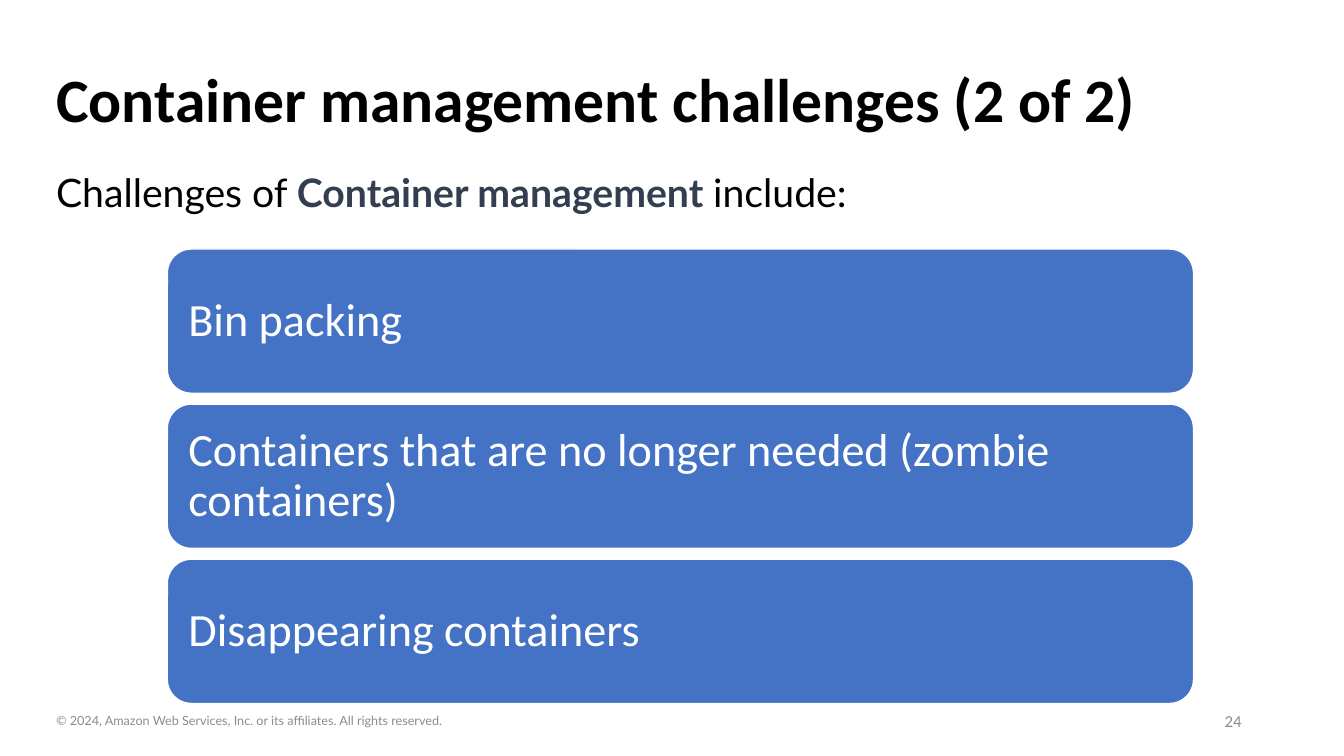
from dataclasses import dataclass

from pptx import Presentation
from pptx.dml.color import RGBColor
from pptx.enum.shapes import MSO_SHAPE
from pptx.enum.text import MSO_ANCHOR, PP_ALIGN
from pptx.slide import Slide
from pptx.text.text import TextFrame
from pptx.util import Pt

COLORS = {
    "black": "000000",
    "white": "FFFFFF",
    "blue": "4472C4",
    "slate": "333F50",
    "gray": "8C8C8C",
}

CHALLENGES = [
    "Bin packing",
    "Containers that are no longer needed (zombie containers)",
    "Disappearing containers",
]
CARD_LEFT, CARD_TOP = 119.5, 177.9
CARD_WIDTH, CARD_HEIGHT = 733, 103
CARD_PITCH = 110.8
CARD_INSET = 10


@dataclass
class Span:
    text: str
    color: str = "black"
    bold: bool = False


@dataclass
class Label:
    left: float
    top: float
    width: float
    height: float
    spans: list[Span]
    size: float
    font: str = "Lato"
    align: PP_ALIGN = PP_ALIGN.LEFT
    anchor: MSO_ANCHOR = MSO_ANCHOR.MIDDLE
    wrap: bool = True


LABELS = [
    Label(33, 116.6, 612, 41,
          [Span("Challenges of "), Span("Container management", "slate", True),
           Span(" include:")],
          28, anchor=MSO_ANCHOR.TOP, wrap=False),
    Label(678, 500.4, 216, 28.8, [Span("24", "gray")], 12, "Calibri",
          PP_ALIGN.RIGHT),
    Label(33, 500.4, 294.5, 28.8,
          [Span("© 2024, Amazon Web Services, Inc. or its affiliates. "
                "All rights reserved.", "gray")], 9),
]


def rgb(name: str) -> RGBColor:
    return RGBColor.from_string(COLORS[name])


def write_spans(frame: TextFrame, spans: list[Span], size: float, font: str,
                align: PP_ALIGN = PP_ALIGN.LEFT,
                anchor: MSO_ANCHOR = MSO_ANCHOR.MIDDLE) -> None:
    frame.vertical_anchor = anchor
    paragraph = frame.paragraphs[0]
    paragraph.alignment = align
    for span in spans:
        run = paragraph.add_run()
        run.text = span.text
        run.font.name = font
        run.font.size = Pt(size)
        run.font.bold = span.bold
        run.font.color.rgb = rgb(span.color)


def add_title(page: Slide, text: str) -> None:
    title = page.shapes.title
    title.left, title.top = Pt(33), Pt(21)
    title.width, title.height = Pt(828), Pt(104.4)
    write_spans(title.text_frame, [Span(text, bold=True)], 44, "Calibri")
    title.text_frame.paragraphs[0].line_spacing = 0.9


def add_card(page: Slide, index: int, text: str) -> None:
    card = page.shapes.add_shape(
        MSO_SHAPE.ROUNDED_RECTANGLE, Pt(CARD_LEFT),
        Pt(CARD_TOP + index * CARD_PITCH), Pt(CARD_WIDTH), Pt(CARD_HEIGHT))
    card.shadow.inherit = False
    card.fill.solid()
    card.fill.fore_color.rgb = rgb("blue")
    card.line.color.rgb = rgb("white")
    card.line.width = Pt(1)
    frame = card.text_frame
    frame.word_wrap = True
    frame.margin_left = frame.margin_right = Pt(CARD_INSET)
    frame.margin_top = frame.margin_bottom = Pt(CARD_INSET)
    write_spans(frame, [Span(text, "white")], 33, "Calibri")
    frame.paragraphs[0].line_spacing = 0.9


def add_label(page: Slide, label: Label) -> None:
    box = page.shapes.add_textbox(Pt(label.left), Pt(label.top),
                                  Pt(label.width), Pt(label.height))
    box.text_frame.word_wrap = label.wrap
    write_spans(box.text_frame, label.spans, label.size, label.font,
                label.align, label.anchor)


def main() -> None:
    deck = Presentation()
    deck.slide_width, deck.slide_height = Pt(960), Pt(540)
    page = deck.slides.add_slide(deck.slide_layouts[5])
    add_title(page, "Container management challenges (2 of 2)")
    for index, challenge in enumerate(CHALLENGES):
        add_card(page, index, challenge)
    for label in LABELS:
        add_label(page, label)
    deck.save("out.pptx")


if __name__ == "__main__":
    main()
